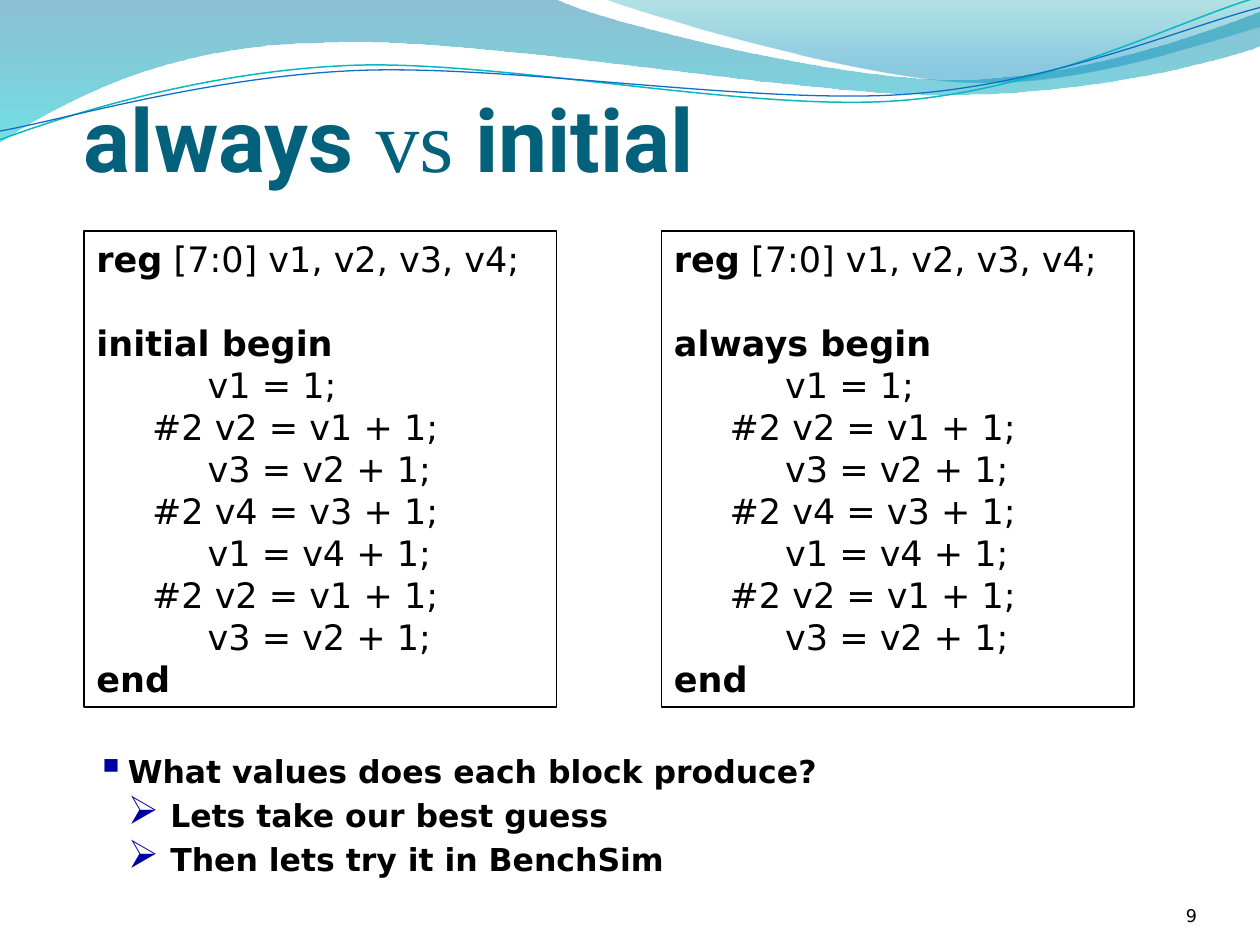
from dataclasses import dataclass

from lxml.etree import SubElement
from pptx import Presentation
from pptx.dml.color import RGBColor
from pptx.enum.shapes import MSO_SHAPE
from pptx.enum.text import MSO_ANCHOR as Anchor, PP_ALIGN as Align
from pptx.oxml.ns import qn
from pptx.util import Inches, Pt

WIDE, HIGH = Inches(10), Inches(7.5)
UNIT = WIDE / 120   # grid step for boxes
TENTH = WIDE / 10   # unit of the wave points
SANS = "DejaVu Sans"
BODY = {"name": SANS, "size": Pt(18), "bold": True}
CODE = {"name": SANS, "size": Pt(20), "bold": False}
BOLD = {**CODE, "bold": True}
HEAD = {"name": "Roboto", "size": Pt(50), "bold": True}
THIN = {**HEAD, "name": "Times New Roman", "bold": False}
PAGE = {"name": SANS, "size": Pt(10)}


@dataclass
class Wave:
    """Points are start, then two handles and an end for each curve."""
    curve: list
    before: tuple = ()
    after: tuple = ()
    stops: tuple = ()
    line: tuple = ()


@dataclass
class Bullet:
    text: str
    mark: str
    level: int


WAVES = [
    # The upper band has a straight right edge between its two curved ones.
    Wave([(4.4, -.01), (4.76, .17), (6.64, .63), (7.58, .63),
          (8.53, .63), (9.58, .26), (10, .09),
          (10, .18), (10.01, .27), (10.01, .36),
          (9.83, .44), (8.7, .76), (7.46, .75),
          (6.22, .75), (3.82, .28), (2.57, .34),
          (1.29, .35), (.46, .83), (-.01, 1.13)],
         before=((0, -.01),),
         stops=(("0074A1", 45, 0), ("00C6CF", 55, 1))),
    Wave([(4.79, -.01), (5.09, .11), (6.82, .62), (7.69, .65),
          (8.56, .69), (9.61, .32), (10, .21)],
         after=((10, 0),),
         stops=(("00A1A9", 30, 0), ("008BBF", 45, .8))),
    Wave([(0, 1.11), (.48, .93), (1.58, .57), (2.77, .52),
          (3.95, .47), (5.93, .89), (7.13, .8),
          (8.33, .71), (9.38, .15), (9.98, -.02)], line=("0AB8BF", .85)),
    Wave([(0, 1.04), (.47, .96), (1.64, .61), (2.83, .56),
          (4.03, .51), (5.97, .83), (7.17, .75),
          (8.36, .67), (9.41, .21), (10, .06)], line=("0F6FC6", .75)),
]
LINES = """          v1 = 1;
     #2 v2 = v1 + 1;
          v3 = v2 + 1;
     #2 v4 = v3 + 1;
          v1 = v4 + 1;
     #2 v2 = v1 + 1;
          v3 = v2 + 1;""".split("\n")
BULLETS = [
    Bullet("What values does each block produce?", "▪", 0),
    Bullet(" Lets take our best guess", "➢", 1),
    Bullet(" Then lets try it in BenchSim", "➢", 1),
]


def tint(code: str) -> RGBColor:
    return RGBColor.from_string(code)


def grid(*cells: float) -> list[int]:
    return [round(cell * UNIT) for cell in cells]


def bend(shape, wave: Wave) -> None:
    """Turn the straight pieces between curve ends into cubic curves."""
    nodes = list(next(shape.element.iter(qn("a:path"))))
    first = len(wave.before) + 1
    for i, node in enumerate(nodes[first:first + len(wave.curve) // 3]):
        node.tag = qn("a:cubicBezTo")
        for slot, (x, y) in enumerate(wave.curve[3 * i + 1:3 * i + 3]):
            spot = SubElement(node, qn("a:pt"),
                              x=str(round(x * TENTH) - shape.left),
                              y=str(round(y * TENTH) - shape.top))
            node.insert(slot, spot)


def draw_wave(slide, wave: Wave) -> None:
    spots = [*wave.before, *wave.curve[::3], *wave.after]
    first, *rest = [(round(x * TENTH), round(y * TENTH)) for x, y in spots]
    pen = slide.shapes.build_freeform(*first)
    pen.add_line_segments(rest, close=bool(wave.stops))
    shape = pen.convert_to_shape()
    bend(shape, wave)
    shape.shadow.inherit = False
    if wave.line:
        shape.fill.background()
        shape.line.color.rgb = tint(wave.line[0])
        shape.line.width = Pt(wave.line[1])
        return
    shape.line.fill.background()
    shape.fill.gradient()
    shape.fill.gradient_angle = 270
    for stop, (code, _, place) in zip(shape.fill.gradient_stops, wave.stops):
        stop.color.rgb = tint(code)
        stop.position = place
    tones = list(shape.element.spPr.iter(qn("a:srgbClr")))
    for tone, (_, alpha, _) in zip(tones, wave.stops):
        SubElement(tone, qn("a:alpha"), val=str(alpha * 1000))


def add_run(para, text: str, form: dict, code: str = "000000") -> None:
    run = para.add_run()
    run.text = text
    for key, value in form.items():
        setattr(run.font, key, value)
    run.font.color.rgb = tint(code)
    run._r.get_or_add_rPr().set("kern", "1200")


def add_text(slide, *cells: float):
    frame = slide.shapes.add_textbox(*grid(*cells)).text_frame
    frame.word_wrap = True
    return frame


def next_para(frame, index: int):
    return frame.add_paragraph() if index else frame.paragraphs[0]


def draw_code(slide, left: float, word: str) -> None:
    box = slide.shapes.add_shape(MSO_SHAPE.RECTANGLE,
                                 *grid(left, 22, 45, 45.3))
    box.shadow.inherit = False
    box.fill.background()
    box.line.color.rgb = tint("000000")
    box.line.width = Pt(1)
    frame = box.text_frame
    frame.word_wrap = True
    frame.vertical_anchor = Anchor.TOP
    rows = [[("reg", BOLD), (" [7:0] v1, v2, v3, v4;", CODE)], [],
            [(f"{word} begin", BOLD)],
            *[[(line, CODE)] for line in LINES], [("end", BOLD)]]
    for i, row in enumerate(rows):
        para = next_para(frame, i)
        para.alignment = Align.LEFT
        for text, form in row:
            add_run(para, text, form)
        if not row:
            SubElement(para._p, qn("a:endParaRPr"), sz="2000")


def draw_bullets(slide) -> None:
    frame = add_text(slide, 8, 71, 95, 13.5)
    for i, item in enumerate(BULLETS):
        para = next_para(frame, i)
        para.level = item.level
        if i:
            para.space_before = Pt(3.6)
        props = para._p.get_or_add_pPr()
        props.set("marL", str(Inches(.25) * (item.level + 1)))
        props.set("indent", str(-Inches(.25)))
        SubElement(SubElement(props, qn("a:buClr")),
                   qn("a:srgbClr"), val="0000A0")
        SubElement(props, qn("a:buSzPct"), val="125000")
        SubElement(props, qn("a:buFont"), typeface="OpenSymbol")
        SubElement(props, qn("a:buChar"), char=item.mark)
        add_run(para, item.text, BODY)


def draw_label(slide, cells: tuple, runs: list, code: str, side) -> None:
    frame = add_text(slide, *cells)
    frame.vertical_anchor = Anchor.BOTTOM
    for edge in ("left", "right", "top", "bottom"):
        setattr(frame, f"margin_{edge}", 0)
    para = frame.paragraphs[0]
    para.alignment = side
    for text, form in runs:
        add_run(para, text, form, code)


def main() -> None:
    deck = Presentation()
    deck.slide_width, deck.slide_height = WIDE, HIGH
    slide = deck.slides.add_slide(deck.slide_layouts[6])
    for wave in WAVES:
        draw_wave(slide, wave)
    draw_label(slide, (8, 3.1, 108, 15),
               [("always ", HEAD), ("vs ", THIN), ("initial", HEAD)],
               "04617B", Align.LEFT)
    draw_label(slide, (104, 83.4, 10, 4.8), [("9", PAGE)],
               "000000", Align.RIGHT)
    for left, word in ((8, "initial"), (63, "always")):
        draw_code(slide, left, word)
    draw_bullets(slide)
    deck.save("out.pptx")


if __name__ == "__main__":
    main()
